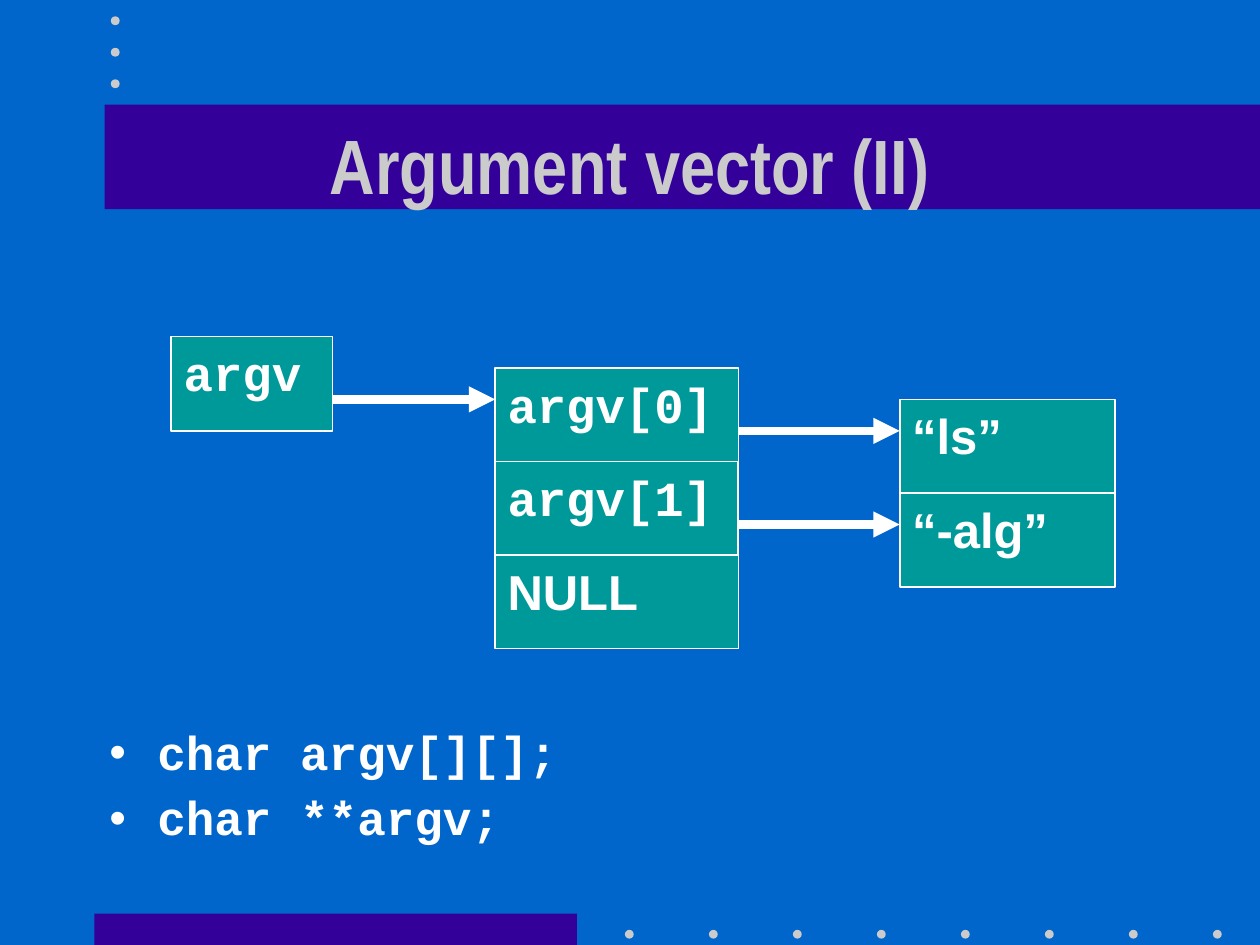
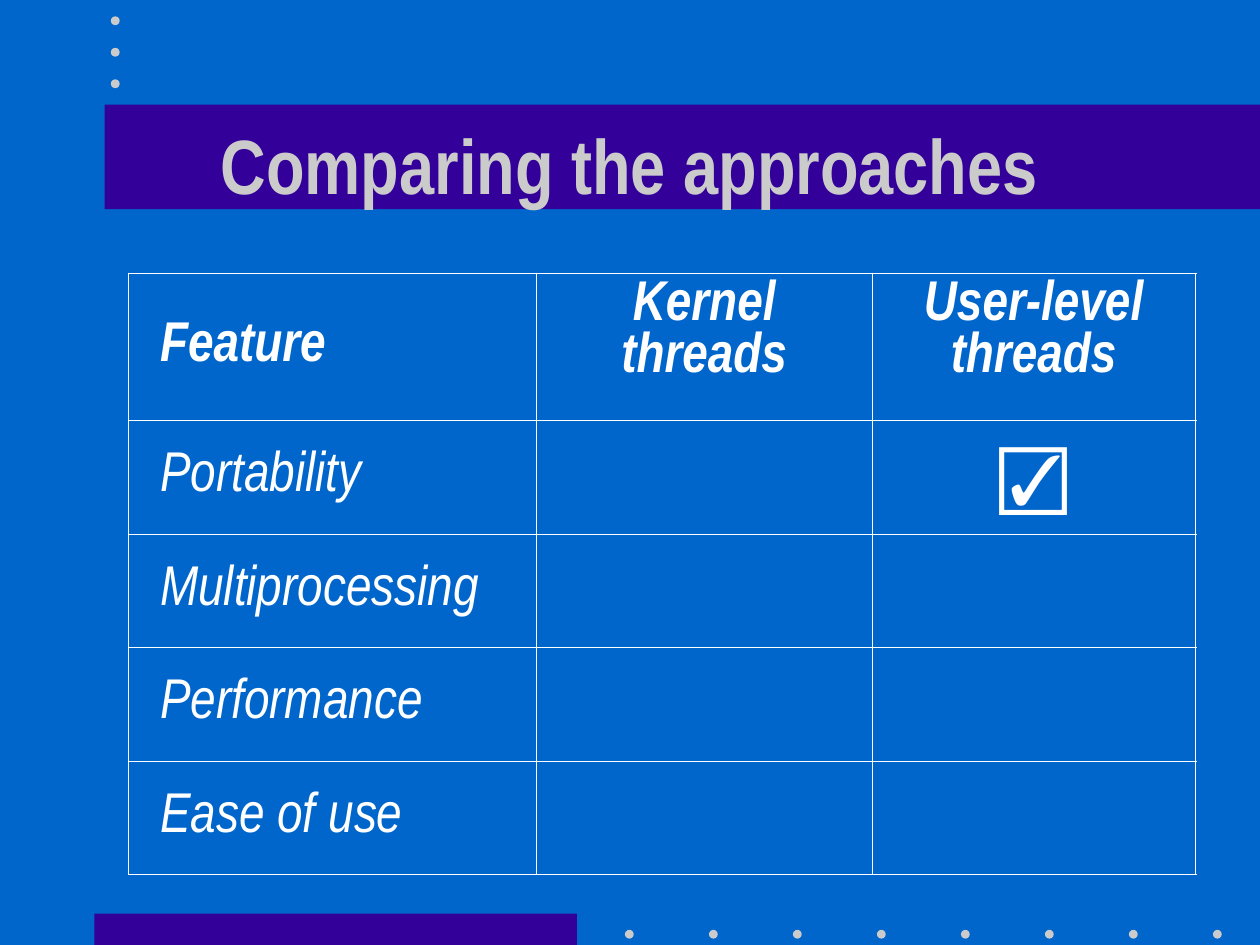
"""Build two lecture slides: the argument vector and a comparison of thread approaches."""
from dataclasses import dataclass
from typing import Any

from lxml import etree
from pptx import Presentation
from pptx.dml.color import RGBColor
from pptx.enum import shapes, text
from pptx.oxml.ns import qn
from pptx.util import Inches, Pt

BLUE = RGBColor(0x00, 0x66, 0xCC)
INDIGO = RGBColor(0x33, 0x00, 0x99)
TEAL = RGBColor(0x00, 0x99, 0x99)
GREY = RGBColor(0xCB, 0xCB, 0xCB)
WHITE = RGBColor(0xFF, 0xFF, 0xFF)

SANS, NARROW, MONO = "Arial", "Arial Narrow", "Courier New"
CENTER = text.PP_ALIGN.CENTER
LEFT = text.PP_ALIGN.LEFT
TOP = text.MSO_ANCHOR.TOP
MIDDLE = text.MSO_ANCHOR.MIDDLE
RECT = shapes.MSO_SHAPE.RECTANGLE
OVAL = shapes.MSO_SHAPE.OVAL

THIN, THICK = 0.45, 1.08
DOT = 0.07


@dataclass(frozen=True)
class Style:
    """Font and paragraph format of a piece of text."""

    name: str
    size: float
    color: RGBColor = WHITE
    bold: bool = True
    italic: bool = False
    alignment: Any = LEFT
    space_before: float = 0
    line_spacing: float = 1.0


@dataclass(frozen=True)
class Box:
    """One labelled memory cell."""

    label: str
    font: str = SANS
    line: float = 1


@dataclass(frozen=True)
class Column:
    """A stack of memory cells whose first ones point to the next column."""

    left: float
    top: float
    width: float
    height: float
    boxes: tuple[Box, ...]
    pointers: int = 0


TITLE = Style(NARROW, 44, GREY, alignment=CENTER)
CODE = Style(MONO, 27.2, space_before=8, line_spacing=0.9)
FEATURE = Style(NARROW, 32, bold=False, italic=True, space_before=8)
FEATURE_HEAD = Style(NARROW, 32, italic=True, space_before=8)
APPROACH_HEAD = Style(NARROW, 32, italic=True, alignment=CENTER, space_before=8)
MARK = Style(SANS, 40, alignment=CENTER, space_before=10)

COLUMNS = (
    Column(1.36, 2.67, 1.28, 0.75, (Box("argv", MONO),), 1),
    Column(3.93, 2.92, 1.93, 2.23,
           (Box("argv[0]", MONO, 0.75), Box("argv[1]", MONO), Box("NULL", line=0.75)), 2),
    Column(7.14, 3.17, 1.71, 1.49, (Box("“ls”"), Box("“-alg”"))),
)
DECLARATIONS = ("char argv[][];", "char **argv;")
COMPARISON = (
    ("Feature", "Kernel\nthreads", "User-level\nthreads"),
    ("Portability", "", "☑"),
    ("Multiprocessing", "", ""),
    ("Performance", "", ""),
    ("Ease of use", "", ""),
)
COLUMN_WIDTHS = (3.24, 2.66, 2.57)
ROW_HEIGHTS = (1.17, 0.9, 0.9, 0.9, 0.9)


def apply(target: Any, values: dict[str, Any]) -> None:
    """Set each named attribute on the target."""
    for name, value in values.items():
        setattr(target, name, value)


def write(p: Any, words: str, style: Style) -> None:
    """Fill a paragraph with styled text."""
    p.text = words
    apply(p, {"alignment": style.alignment, "line_spacing": style.line_spacing,
              "space_before": Pt(style.space_before)})
    for r in p.runs:
        apply(r.font, {"name": style.name, "size": Pt(style.size),
                       "bold": style.bold, "italic": style.italic})
        r.font.color.rgb = style.color


def add_block(slide: Any, kind: Any, left: float, top: float, width: float,
              height: float, color: RGBColor, line: float = 0) -> Any:
    """Add a filled shape, with a white outline when line is positive."""
    sp = slide.shapes.add_shape(kind, Inches(left), Inches(top), Inches(width), Inches(height))
    sp.shadow.inherit = False
    sp.fill.solid()
    sp.fill.fore_color.rgb = color
    if line:
        sp.line.color.rgb = WHITE
        sp.line.width = Pt(line)
    else:
        sp.line.fill.background()
    return sp


def add_text(slide: Any, left: float, top: float, width: float, height: float,
             lines: tuple[str, ...], style: Style, anchor: Any = TOP) -> Any:
    """Add a wrapped text box with one paragraph per line."""
    sp = slide.shapes.add_textbox(Inches(left), Inches(top), Inches(width), Inches(height))
    tf = sp.text_frame
    apply(tf, {"word_wrap": True, "vertical_anchor": anchor})
    for i, words in enumerate(lines):
        write(tf.add_paragraph() if i else tf.paragraphs[0], words, style)
    return tf


def add_slide(prs: Any, title: str) -> Any:
    """Add a blank slide with the shared background, bands, dots and title."""
    slide = prs.slides.add_slide(prs.slide_layouts[6])
    slide.background.fill.solid()
    slide.background.fill.fore_color.rgb = BLUE
    add_block(slide, RECT, 0.75, 7.25, 3.83, 0.25, INDIGO)
    for i in range(8):
        add_block(slide, OVAL, 4.96 + i * 2 / 3, 7.38, DOT, DOT, GREY)
    add_block(slide, RECT, 0.83, 0.83, 9.17, 0.83, INDIGO)
    for i in range(3):
        add_block(slide, OVAL, 0.88, 0.13 + i * 0.25, DOT, DOT, GREY)
    add_text(slide, 0.75, 0.67, 8.5, 1.25, (title,), TITLE, MIDDLE)
    return slide


def add_arrow(slide: Any, start: float, end: float, y: float) -> None:
    """Add a thick horizontal arrow."""
    line = slide.shapes.add_connector(shapes.MSO_CONNECTOR.STRAIGHT, Inches(start), Inches(y),
                                      Inches(end), Inches(y))
    line.line.color.rgb = WHITE
    line.line.width = Pt(5)
    etree.SubElement(line.line._get_or_add_ln(), qn("a:tailEnd"), type="triangle")
    etree.SubElement(line._element.spPr, qn("a:effectLst"))


def add_column(slide: Any, column: Column) -> None:
    """Draw a stack of memory cells."""
    pitch = column.height / len(column.boxes)
    for i, box in enumerate(column.boxes):
        sp = add_block(slide, RECT, column.left, column.top + i * pitch, column.width, pitch,
                       TEAL, box.line)
        sp.text_frame.vertical_anchor = TOP
        write(sp.text_frame.paragraphs[0], box.label, Style(box.font, 28))


def add_pointers(slide: Any, source: Column, target: Column) -> None:
    """Draw arrows from the cells of one column to the next column."""
    pitch = source.height / len(source.boxes)
    for i in range(source.pointers):
        add_arrow(slide, source.left + source.width, target.left, source.top + 0.5 + i * pitch)


def add_bullet(p: Any) -> None:
    """Give a paragraph a round white bullet and a hanging indent."""
    pPr = p._p.get_or_add_pPr()
    pPr.set("marL", str(Inches(0.38)))
    pPr.set("indent", str(-Inches(0.38)))
    color = etree.SubElement(pPr, qn("a:buClr"))
    etree.SubElement(color, qn("a:srgbClr"), val=str(WHITE))
    etree.SubElement(pPr, qn("a:buFont"), typeface=SANS)
    etree.SubElement(pPr, qn("a:buChar"), char="•")


def set_borders(cell: Any, widths: dict[str, float]) -> None:
    """Draw white borders of the given widths around a cell."""
    tcPr = cell._tc.get_or_add_tcPr()
    for side, width in widths.items():
        ln = etree.SubElement(tcPr, qn(f"a:ln{side}"), w=str(Pt(width)))
        fill = etree.SubElement(ln, qn("a:solidFill"))
        etree.SubElement(fill, qn("a:srgbClr"), val=str(WHITE))


def cell_style(row: int, col: int) -> Style:
    """Choose the text style for a place in the comparison."""
    if row == 0:
        return APPROACH_HEAD if col else FEATURE_HEAD
    return MARK if col else FEATURE


def add_comparison(slide: Any) -> None:
    """Add the feature table with a heavier outer frame."""
    rows, cols = len(ROW_HEIGHTS), len(COLUMN_WIDTHS)
    table = slide.shapes.add_table(rows, cols, Inches(1.02), Inches(2.17),
                                   Inches(sum(COLUMN_WIDTHS)), Inches(sum(ROW_HEIGHTS))).table
    apply(table, {"first_row": False, "horz_banding": False})
    for column, width in zip(table.columns, COLUMN_WIDTHS):
        column.width = Inches(width)
    for row, height in zip(table.rows, ROW_HEIGHTS):
        row.height = Inches(height)
    for i, labels in enumerate(COMPARISON):
        for j, label in enumerate(labels):
            cell = table.cell(i, j)
            outer = {"L": j == 0, "R": j == cols - 1, "T": i == 0, "B": i == rows - 1}
            set_borders(cell, {side: THICK if edge else THIN for side, edge in outer.items()})
            cell.fill.background()
            apply(cell, {"vertical_anchor": TOP if i == 0 and j else MIDDLE,
                         "margin_left": Inches(0.1 if j else 0.25)})
            if label:
                write(cell.text_frame.paragraphs[0], label, cell_style(i, j))


def main() -> None:
    """Build and save the presentation."""
    prs = Presentation()
    apply(prs, {"slide_width": Inches(10), "slide_height": Inches(7.5)})

    slide = add_slide(prs, "Argument vector (II)")
    for column in COLUMNS:
        add_column(slide, column)
    for source, target in zip(COLUMNS, COLUMNS[1:]):
        add_pointers(slide, source, target)
    tf = add_text(slide, 0.77, 5.74, 8.5, 1.16, DECLARATIONS, CODE)
    for p in tf.paragraphs:
        add_bullet(p)

    add_comparison(add_slide(prs, "Comparing the approaches"))
    prs.save("out.pptx")


if __name__ == "__main__":
    main()
